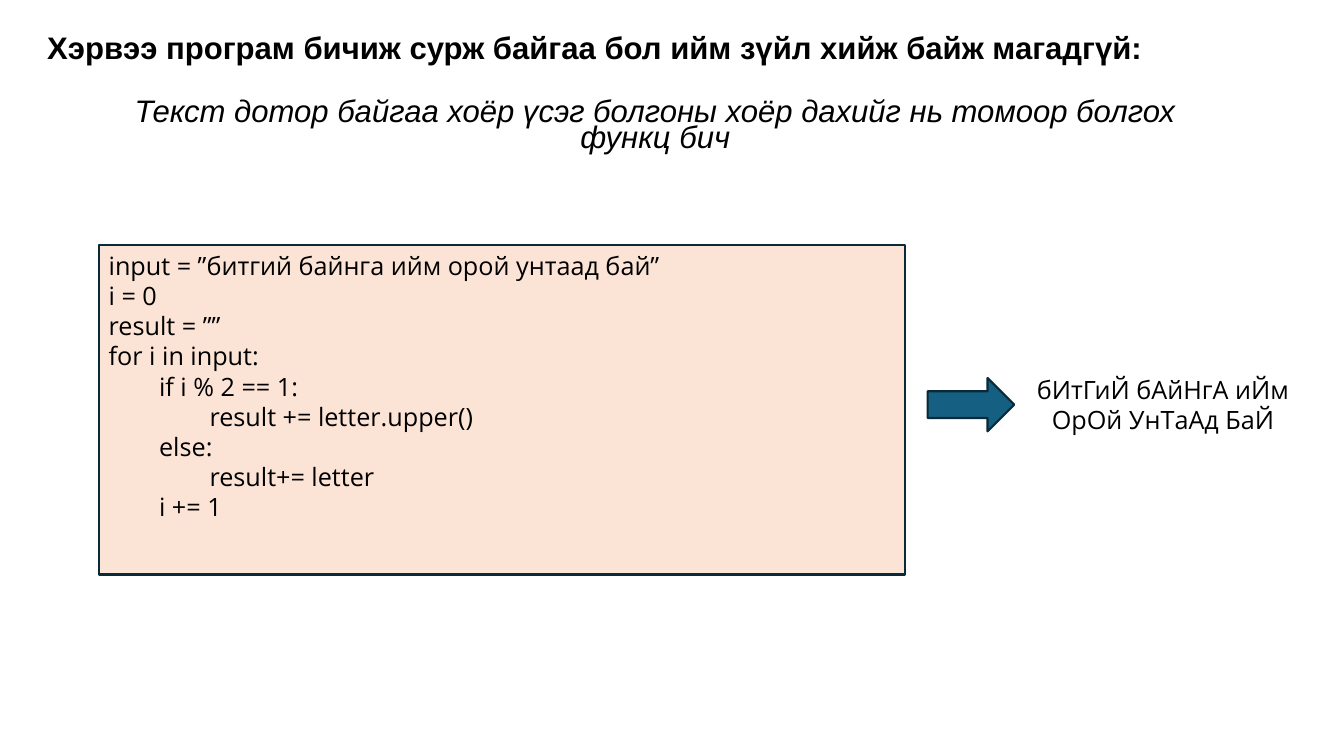
import pptx
import pptx.util
import pptx.dml.color
import pptx.enum.shapes
import pptx.enum.text
from dataclasses import dataclass

Inches, Pt = pptx.util.Inches, pptx.util.Pt
RGB = pptx.dml.color.RGBColor.from_string
SHAPE = pptx.enum.shapes.MSO_SHAPE
ALIGN = pptx.enum.text.PP_ALIGN
ANCHOR = pptx.enum.text.MSO_ANCHOR


@dataclass(frozen=True)
class Theme:
    text: str = "000000"
    code_fill: str = "FBE3D6"
    arrow_fill: str = "156082"
    outline: str = "092A39"
    heading_font: str = "Arial"
    body_font: str = "Open Sans"
    heading_size: float = 22.2
    body_size: float = 18
    line_width: float = 1.5


theme = Theme()
heading = {"name": theme.heading_font, "size": Pt(theme.heading_size)}
body = {"name": theme.body_font, "size": Pt(theme.body_size)}


def write(sp, lines, font, paragraph, anchor=ANCHOR.TOP):
    """Fill a shape with one paragraph per line, all in the same format."""
    tf = sp.text_frame
    tf.word_wrap = True
    tf.vertical_anchor = anchor
    for i, line in enumerate(lines):
        p = tf.add_paragraph() if i else tf.paragraphs[0]
        for key, value in paragraph.items():
            setattr(p, key, value)
        r = p.add_run()
        r.text = line
        for key, value in font.items():
            setattr(r.font, key, value)
        r.font.color.rgb = RGB(theme.text)


def add_outlined(kind, box, fill):
    sp = s.shapes.add_shape(kind, *map(Inches, box))
    sp.shadow.inherit = False
    sp.fill.solid()
    sp.fill.fore_color.rgb = RGB(fill)
    sp.line.color.rgb = RGB(theme.outline)
    sp.line.width = Pt(theme.line_width)
    return sp


prs = pptx.Presentation()
prs.slide_width, prs.slide_height = Inches(13.33), Inches(7.5)
s = prs.slides.add_slide(prs.slide_layouts[6])

# Headings
title = s.shapes.add_textbox(Inches(0.37), Inches(0.27), Inches(11.08), Inches(0.67))
write(title, ["Хэрвээ програм бичиж сурж байгаа бол ийм зүйл хийж байж магадгүй:"],
      {**heading, "bold": True},
      {"alignment": ALIGN.LEFT, "line_spacing": 0.9, "space_before": Pt(10)})

task = s.shapes.add_textbox(Inches(0.75), Inches(0.96), Inches(11.5), Inches(0.67))
write(task, ["Текст дотор байгаа хоёр үсэг болгоны хоёр дахийг нь томоор болгох функц бич"],
      {**heading, "italic": True},
      {"alignment": ALIGN.CENTER, "line_spacing": 0.7, "space_before": Pt(10)})

# Code sample
code = [
    "input = ”битгий байнга ийм орой унтаад бай”",
    "i = 0",
    "result = ””",
    "for i in input:",
    "\tif i % 2 == 1:",
    "\t\tresult += letter.upper()",
    "\telse:",
    "\t\tresult+= letter",
    "\ti += 1",
]
code_box = add_outlined(SHAPE.RECTANGLE, (0.98, 2.43, 8, 3.27), theme.code_fill)
write(code_box, code, body, {"alignment": ALIGN.LEFT})

# Arrow to the output
add_outlined(SHAPE.RIGHT_ARROW, (9.2, 3.75, 0.86, 0.53), theme.arrow_fill)

output = s.shapes.add_textbox(Inches(10.12), Inches(3.66), Inches(2.83), Inches(0.71))
write(output, ["бИтГиЙ бАйНгА иЙм ОрОй УнТаАд БаЙ"], body,
      {"alignment": ALIGN.CENTER}, ANCHOR.MIDDLE)
output.text_frame.auto_size = pptx.enum.text.MSO_AUTO_SIZE.SHAPE_TO_FIT_TEXT

prs.save("out.pptx")
